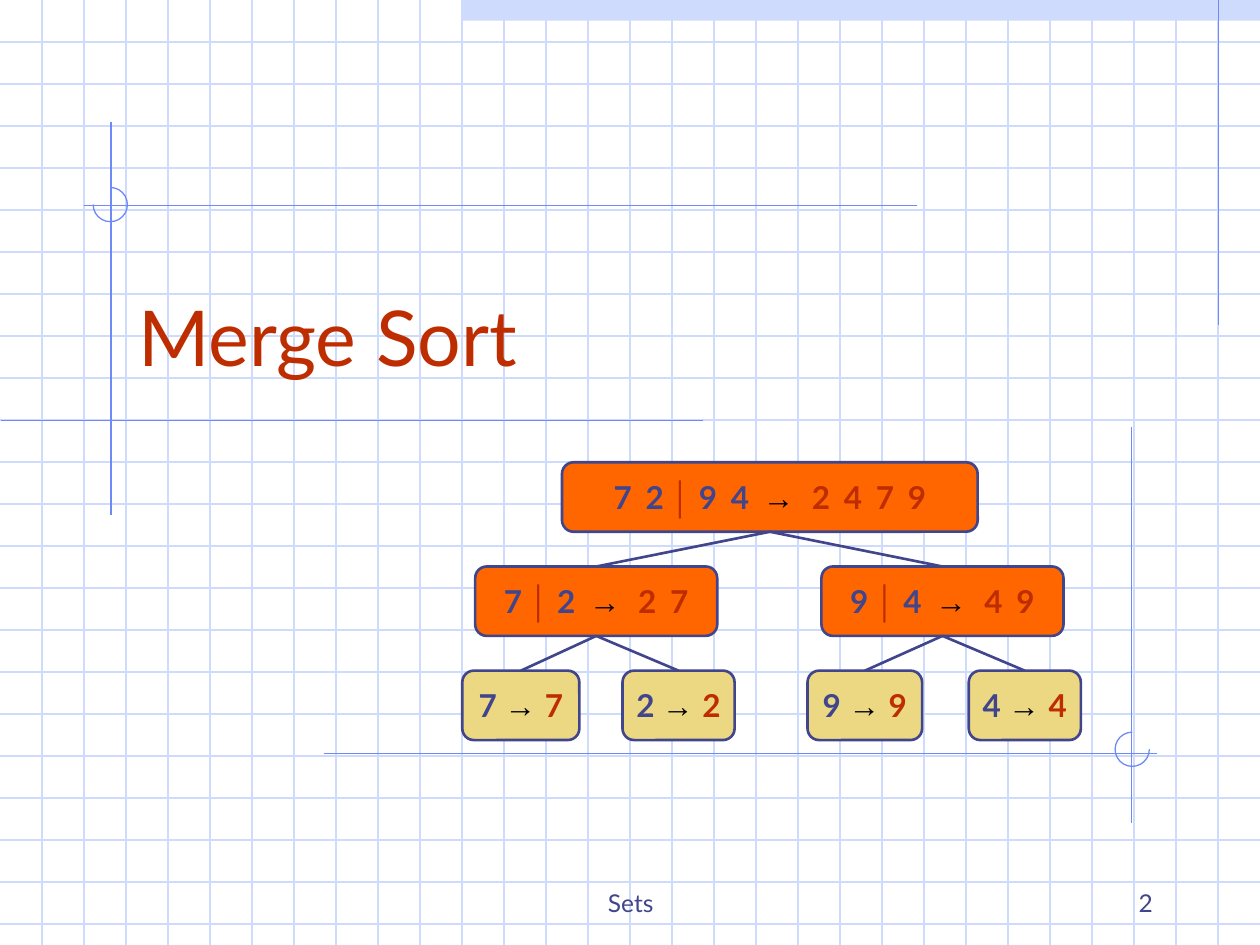
from lxml.etree import SubElement
from pptx import Presentation
from pptx.dml.color import RGBColor
from pptx.enum.shapes import MSO_CONNECTOR, MSO_SHAPE
from pptx.enum.text import MSO_ANCHOR, PP_ALIGN
from pptx.oxml.ns import qn
from pptx.util import Cm, Pt

WIDE, HIGH = 25.4, 19.05
STEP = 2.54 / 3
PALE, BLUE, NAVY, RED = "CFDBFD", "6F89F7", "40458C", "BE2D00"
ORANGE, SAND, BLACK = "FF6600", "ECD882", "000000"

RULES = [
    (24.56, 0, 24.56, 6.55),
    (2.24, 2.46, 2.24, 10.39),
    (14.17, 8.48, 0.03, 8.48),
    (18.49, 4.14, 1.7, 4.14),
    (6.53, 15.19, 23.32, 15.19),
    (22.81, 8.61, 22.81, 16.59),
]
ARCS = [(1.88, 3.78, 270, 180), (22.48, 14.76, 0, 270)]
ARC = 0.69

TREE = [
    ("7 2 │ 9 4 → 2 4 7 9", 0, 11.33, 8.38),
    ("7 │ 2 → 2 7", 1, 9.58, 4.88),
    ("9 │ 4 → 4 9", 1, 16.56, 4.88),
    ("7 → 7", 2, 9.32, 2.36),
    ("2 → 2", 2, 12.55, 2.26),
    ("9 → 9", 2, 16.28, 2.31),
    ("4 → 4", 2, 19.53, 2.26),
]
TOP, DROP, TALL = 9.32, 2.1, 1.4
GAPS = {"Lato": "350", "Arial": "500"}

LABELS = [
    ("Merge Sort", (2.54, 4.65, 21.59, 3.18), 44, RED, PP_ALIGN.LEFT),
    ("Sets", (8.69, 17.35, 8.05, 1.27), 14, NAVY, PP_ALIGN.CENTER),
    ("2", (18.21, 17.35, 5.28, 1.27), 14, NAVY, PP_ALIGN.RIGHT),
]


def tint(code):
    return RGBColor.from_string(code)


def put(item, vals):
    for key, val in vals.items():
        setattr(item, key, val)


def ink(line, code, size):
    line.color.rgb = tint(code)
    line.width = Pt(size)


def rule(slide, ends, code, size=0.75):
    line = slide.shapes.add_connector(MSO_CONNECTOR.STRAIGHT, *map(Cm, ends))
    ink(line.line, code, size)
    SubElement(line._element.spPr, qn("a:effectLst"))
    return line


def shape(slide, kind, box, fill=None):
    item = slide.shapes.add_shape(kind, *map(Cm, box))
    item.shadow.inherit = False
    if fill:
        item.fill.solid()
        item.fill.fore_color.rgb = tint(fill)
    else:
        item.fill.background()
    return item


def write(para, text, size, code, name="Lato", bold=False):
    run = para.add_run()
    run.text = text
    put(run.font, {"size": Pt(size), "name": name, "bold": bold})
    run.font.color.rgb = tint(code)
    return run


def fill_node(para, text, leaf):
    words = text.split()
    code = NAVY
    for word, after in zip(words, words[1:] + [None]):
        name = "Lato" if word.isdigit() else "Arial"
        hue = {"│": RED, "→": BLACK}.get(word, code)
        write(para, word, 18, hue, name, True)
        if word == "→":
            code = RED
        if after:
            font = "Arial" if word == "→" else "Lato"
            gap = write(para, " ", 18, hue, font, True)
            if not leaf and "│" not in (word, after):
                gap.font._element.set("spc", GAPS[font])


def draw_paper(slide):
    band = shape(slide, MSO_SHAPE.RECTANGLE, (9.31, 0, 16.09, 0.42), PALE)
    band.line.fill.background()
    for n in range(1, 23):
        rule(slide, (0, n * STEP, WIDE, n * STEP), PALE)
    for n in range(1, 30):
        rule(slide, (n * STEP, 0, n * STEP, HIGH), PALE)
    for ends in RULES:
        rule(slide, ends, BLUE)
    for left, top, start, stop in ARCS:
        arc = shape(slide, MSO_SHAPE.ARC, (left, top, ARC, ARC))
        arc.adjustments[0] = start * 0.6
        arc.adjustments[1] = stop * 0.6
        ink(arc.line, BLUE, 0.75)


def draw_tree(slide):
    nodes = []
    for text, level, left, width in TREE:
        leaf = level == 2
        box = (left, TOP + level * DROP, width, TALL)
        node = shape(slide, MSO_SHAPE.ROUNDED_RECTANGLE, box, SAND if leaf else ORANGE)
        ink(node.line, NAVY, 1.5)
        put(node.text_frame, {"word_wrap": False, "vertical_anchor": MSO_ANCHOR.MIDDLE})
        para = node.text_frame.paragraphs[0]
        para.alignment = PP_ALIGN.CENTER
        fill_node(para, text, leaf)
        nodes.append(node)
    for n, node in enumerate(nodes[1:]):
        line = rule(slide, (0, 0, 1, 1), NAVY, 1.5)
        line.begin_connect(nodes[n // 2], 2)
        line.end_connect(node, 0)


def draw_labels(slide):
    for text, box, size, code, align in LABELS:
        frame = slide.shapes.add_textbox(*map(Cm, box)).text_frame
        put(frame, {"word_wrap": True, "vertical_anchor": MSO_ANCHOR.BOTTOM})
        para = frame.paragraphs[0]
        para.alignment = align
        write(para, text, size, code)


def main():
    deck = Presentation()
    put(deck, {"slide_width": Cm(WIDE), "slide_height": Cm(HIGH)})
    slide = deck.slides.add_slide(deck.slide_layouts[6])
    draw_paper(slide)
    draw_tree(slide)
    draw_labels(slide)
    deck.save("out.pptx")


if __name__ == "__main__":
    main()
